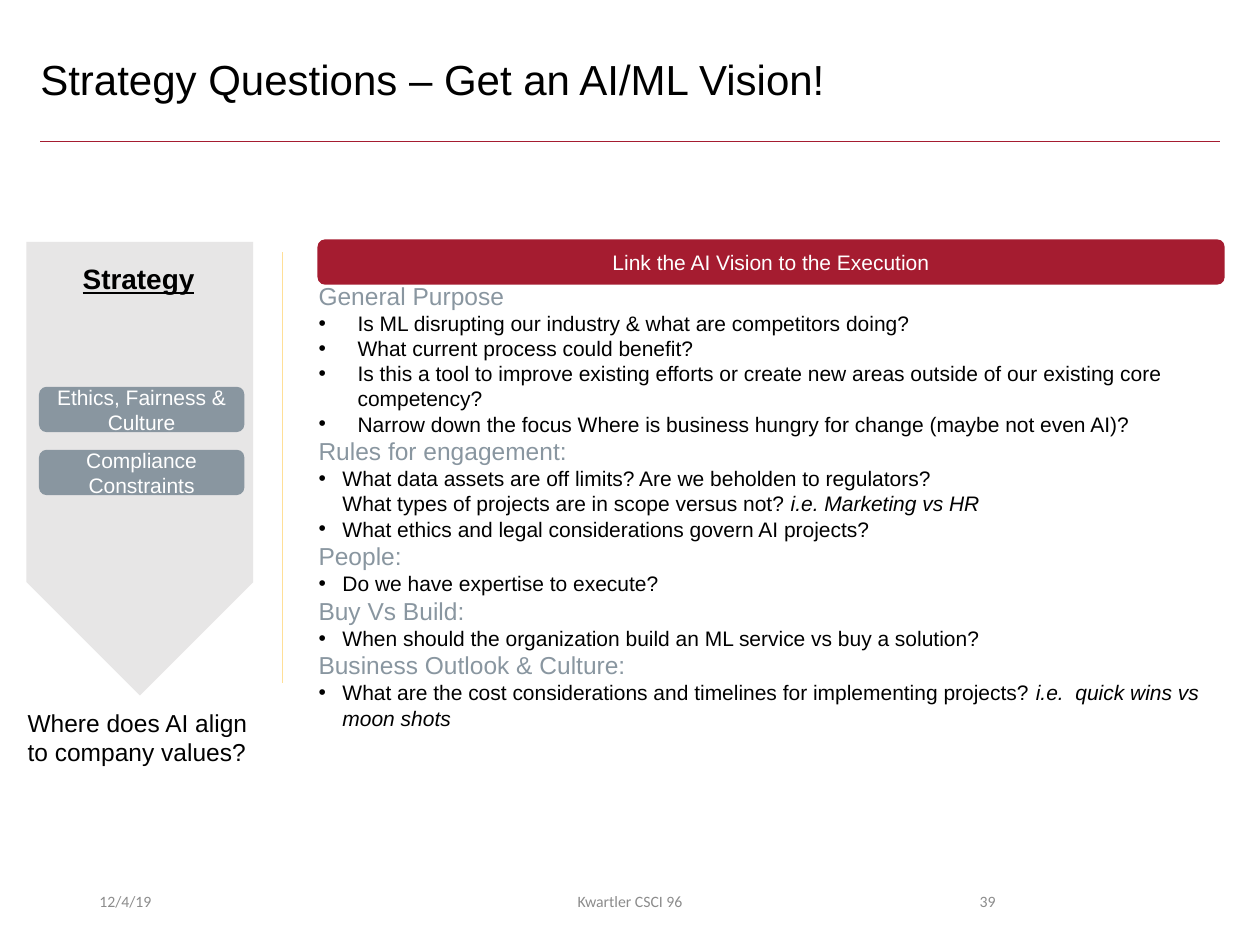
"""Build the AI/ML strategy questions slide."""
from lxml import etree
from pptx import Presentation
from pptx import util as u
from pptx.dml.color import RGBColor
from pptx.enum import shapes, text
from pptx.oxml import ns

BLACK = RGBColor(0x00, 0x00, 0x00)
WHITE = RGBColor(0xFF, 0xFF, 0xFF)
CRIMSON = RGBColor(0xA5, 0x1C, 0x30)
SLATE = RGBColor(0x89, 0x96, 0xA0)
PALE = RGBColor(0xE7, 0xE6, 0xE6)
GOLD = RGBColor(0xFF, 0xDF, 0x97)
MUTED = RGBColor(0x8C, 0x8C, 0x8C)
LEFT, CENTER, RIGHT = text.PP_ALIGN.LEFT, text.PP_ALIGN.CENTER, text.PP_ALIGN.RIGHT
MIDDLE, TOP = text.MSO_ANCHOR.MIDDLE, text.MSO_ANCHOR.TOP

deck = Presentation()
deck.slide_width, deck.slide_height = u.Inches(10), u.Inches(7.5)
CELL = deck.slide_width / 100
slide = deck.slides.add_slide(deck.slide_layouts[5])


def grid(*cells):
    return [u.Emu(round(cell * CELL)) for cell in cells]


def style(paragraph, size, color, align=LEFT, face="Arial"):
    paragraph.alignment = align
    paragraph.font.size = u.Pt(size)
    paragraph.font.name = face
    paragraph.font.color.rgb = color


title = slide.shapes.title
title.left, title.top, title.width, title.height = grid(2.5, 3, 82.4, 6.5)
title.text_frame.text = "Strategy Questions – Get an AI/ML Vision!"
title.text_frame.vertical_anchor = MIDDLE
title.text_frame.margin_left = title.text_frame.margin_right = u.Inches(0.07)
title.text_frame.margin_top = title.text_frame.margin_bottom = u.Inches(0.04)
style(title.text_frame.paragraphs[0], 24, BLACK)

for start, end, color, weight in [
    ((3.2, 11.2), (96.8, 11.2), CRIMSON, 0.5),
    ((22.4, 20), (22.4, 54.2), GOLD, 0.75),
]:
    rule = slide.shapes.add_connector(shapes.MSO_CONNECTOR.STRAIGHT, *grid(*start, *end))
    rule.line.color.rgb = color
    rule.line.width = u.Pt(weight)
    etree.SubElement(rule._element.spPr, ns.qn("a:effectLst"))

arrow = slide.shapes.add_shape(shapes.MSO_SHAPE.PENTAGON, *grid(-6.9, 28.2, 36, 18))
arrow.rotation = 90
arrow.adjustments[0] = 0.5
arrow.fill.solid()
arrow.fill.fore_color.rgb = PALE
arrow.line.fill.background()
arrow.shadow.inherit = False

for wording, x, y, width, color in [
    ("Ethics, Fairness & Culture", 3.1, 30.7, 16.3, SLATE),
    ("Compliance Constraints", 3.1, 35.7, 16.3, SLATE),
    ("Link the AI Vision to the Execution", 25.2, 19, 72, CRIMSON),
]:
    banner = slide.shapes.add_shape(shapes.MSO_SHAPE.ROUNDED_RECTANGLE, *grid(x, y, width, 3.6))
    banner.fill.solid()
    banner.fill.fore_color.rgb = color
    banner.line.fill.background()
    banner.shadow.inherit = False
    banner.text_frame.text = wording
    banner.text_frame.vertical_anchor = MIDDLE
    style(banner.text_frame.paragraphs[0], 12, WHITE, CENTER)

for wording, area, size, color, align, face, anchor in [
    ("Strategy", (2, 20.3, 18, 2), 16, BLACK, CENTER, "Arial", TOP),
    ("Where does AI align to company values?", (1.2, 55.7, 19.9, 5.7), 14, BLACK, LEFT, "Arial", TOP),
    ("12/4/19", (6.9, 69.5, 22.5, 4), 9, MUTED, LEFT, "Calibri", MIDDLE),
    ("Kwartler CSCI 96", (33.1, 69.5, 33.8, 4), 9, MUTED, CENTER, "Calibri", MIDDLE),
    ("39", (70.6, 69.5, 9.4, 4), 9, MUTED, RIGHT, "Calibri", MIDDLE),
]:
    label = slide.shapes.add_textbox(*grid(*area)).text_frame
    label.word_wrap = True
    label.vertical_anchor = anchor
    label.text = wording
    style(label.paragraphs[0], size, color, align, face)
    if wording == "Strategy":
        label.paragraphs[0].font.bold = label.paragraphs[0].font.underline = True

topics = [
    ("General Purpose", 0.31, [
        ("Is ML disrupting our industry & what are competitors doing?", ""),
        ("What current process could benefit?", ""),
        ("Is this a tool to improve existing efforts or create new areas outside of our existing core competency?", ""),
        ("Narrow down the focus Where is business hungry for change (maybe not even AI)?", ""),
    ]),
    ("Rules for engagement:", 0.19, [
        ("What data assets are off limits? Are we beholden to regulators?\n"
         "What types of projects are in scope versus not? ", "i.e. Marketing vs HR"),
        ("What ethics and legal considerations govern AI projects?", ""),
    ]),
    ("People:", 0.19, [("Do we have expertise to execute?", "")]),
    ("Buy Vs Build:", 0.19, [("When should the organization build an ML service vs buy a solution?", "")]),
    ("Business Outlook & Culture:", 0.19, [
        ("What are the cost considerations and timelines for implementing projects? ",
         "i.e.  quick wins vs moon shots"),
    ]),
]
questions = slide.shapes.add_textbox(*grid(24.3, 21.8, 72, 37)).text_frame
questions.word_wrap = True
questions.auto_size = text.MSO_AUTO_SIZE.SHAPE_TO_FIT_TEXT
for number, (topic, indent, points) in enumerate(topics):
    heading = questions.add_paragraph() if number else questions.paragraphs[0]
    heading.text = topic
    style(heading, 14, SLATE)
    for question, example in points:
        point = questions.add_paragraph()
        point.text = question
        if example:
            aside = point.add_run()
            aside.text = example
            aside.font.italic = True
        props = point._p.get_or_add_pPr()
        props.set("marL", str(u.Inches(indent)))
        props.set("indent", str(-u.Inches(indent)))
        bullet_color = etree.SubElement(props, ns.qn("a:buClr"))
        etree.SubElement(bullet_color, ns.qn("a:srgbClr"), val=str(BLACK))
        etree.SubElement(props, ns.qn("a:buFont"), typeface="Arial")
        etree.SubElement(props, ns.qn("a:buChar"), char="•")
        style(point, 12, BLACK)

deck.save("out.pptx")
